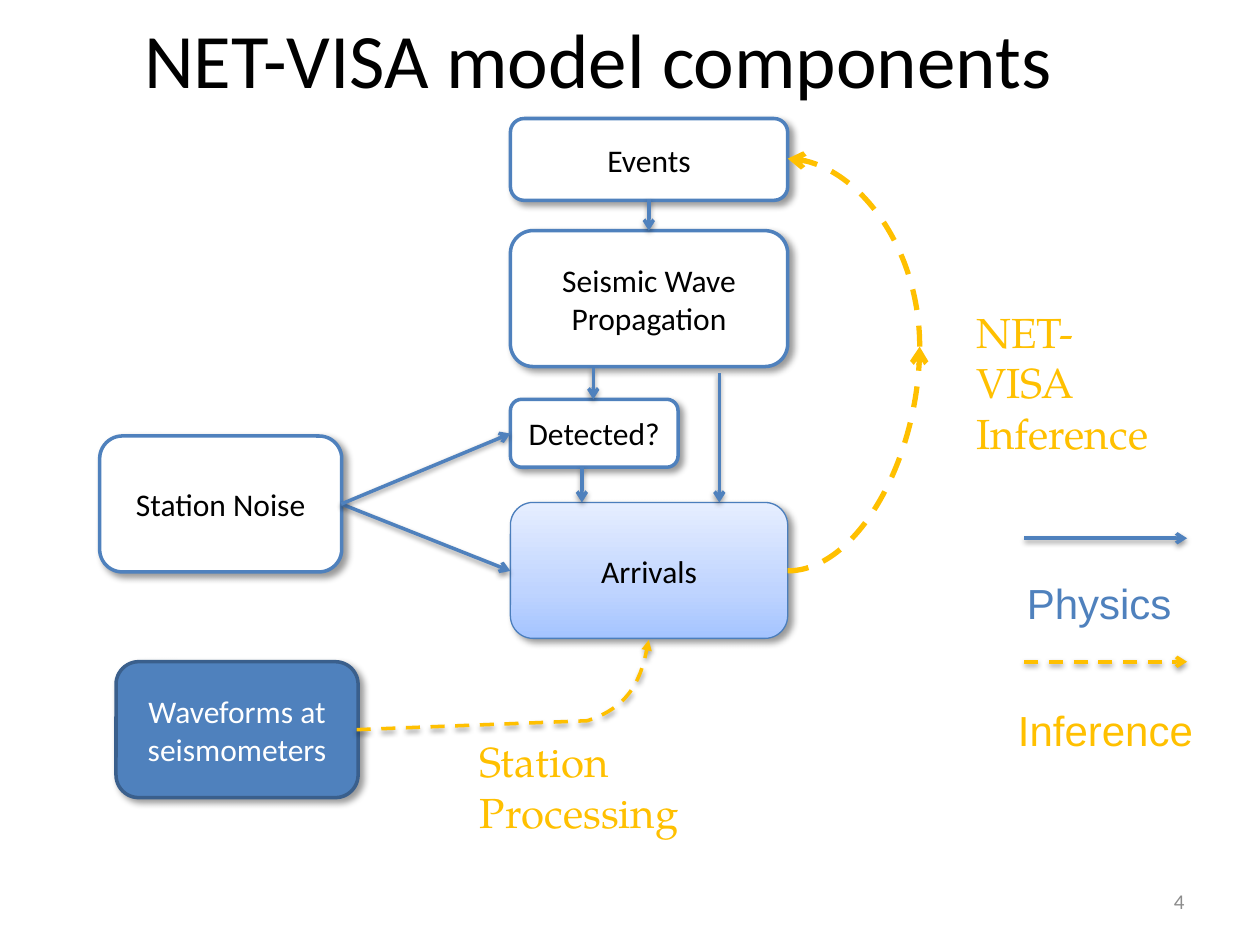
import copy
from dataclasses import dataclass
from typing import Any, Optional

import lxml.etree
import pptx
import pptx.dml.color
import pptx.enum.dml
import pptx.enum.shapes
import pptx.enum.text
import pptx.oxml.ns
import pptx.util

Cm = pptx.util.Cm
Pt = pptx.util.Pt
RGBColor = pptx.dml.color.RGBColor
Align = pptx.enum.text.PP_ALIGN
Anchor = pptx.enum.text.MSO_ANCHOR
Connector = pptx.enum.shapes.MSO_CONNECTOR
qn = pptx.oxml.ns.qn

BLACK = RGBColor(0x00, 0x00, 0x00)
WHITE = RGBColor(0xFF, 0xFF, 0xFF)
GRAY = RGBColor(0x8C, 0x8C, 0x8C)
BLUE = RGBColor(0x4F, 0x81, 0xBD)
DARK_BLUE = RGBColor(0x3A, 0x5F, 0x8C)
ARRIVALS_EDGE = RGBColor(0x4B, 0x7E, 0xBC)
GOLD = RGBColor(0xFF, 0xC0, 0x00)
ARRIVALS_STOPS = (
    (0, RGBColor(0xA4, 0xC4, 0xFF)),
    (0.35, RGBColor(0xBF, 0xD4, 0xFF)),
    (1, RGBColor(0xE6, 0xEE, 0xFF)),
)
Point = tuple[float, float]


@dataclass(frozen=True)
class Shadow:
    alpha: int
    blur: float
    distance: float
    angle: int


BOX_SHADOW = Shadow(40, 4, 3, 45)
LINE_SHADOW = Shadow(38, 3.1, 1.6, 90)


@dataclass(frozen=True)
class Component:
    text: str
    left: float
    top: float
    width: float = 5.59
    height: float = 2.74
    fill: Optional[RGBColor] = WHITE
    edge: RGBColor = BLUE
    edge_width: float = 2
    ink: RGBColor = BLACK


@dataclass(frozen=True)
class Arrow:
    start: Point
    end: Point
    color: RGBColor = BLUE
    dashed: bool = False


@dataclass(frozen=True)
class Label:
    lines: tuple[str, ...]
    left: float
    top: float
    width: float
    height: float
    font: str
    color: RGBColor
    size: int = 24
    align: Align = Align.LEFT
    anchor: Anchor = Anchor.TOP


COMPONENTS = (
    Component("Events", 10.29, 2.39, height=1.65),
    Component("Seismic Wave Propagation", 10.29, 4.65),
    Component("Waveforms at seismometers", 2.34, 13.34, 4.88,
              fill=BLUE, edge=DARK_BLUE, ink=WHITE),
    Component("Arrivals", 10.29, 10.13, fill=None, edge=ARRIVALS_EDGE, edge_width=0.75),
    Component("Station Noise", 2.01, 8.79, 4.88),
    Component("Detected?", 10.29, 8.05, 3.38, 1.37),
)
ARROWS = (
    Arrow((13.08, 4.01), (13.08, 4.65)),
    Arrow((14.5, 7.52), (14.5, 10.13)),
    Arrow((6.88, 10.16), (10.29, 11.51)),
    Arrow((11.73, 9.42), (11.73, 10.13)),
    Arrow((11.96, 7.42), (11.96, 8.05)),
    Arrow((6.88, 10.16), (10.29, 8.74)),
    Arrow((20.65, 10.85), (23.93, 10.85)),
    Arrow((20.65, 13.34), (23.93, 13.34), GOLD, True),
)
LABELS = (
    Label(("NET-VISA", "Inference"), 19.43, 6.05, 4.2, 2.31, "TeX Gyre Pagella", GOLD),
    Label(("Station Processing",), 9.42, 14.71, 7.15, 1.27, "TeX Gyre Pagella", GOLD),
    Label(("Physics",), 20.45, 11.51, 3.45, 1.27, "Arial", BLUE),
    Label(("Inference",), 20.27, 14.07, 4.09, 1.27, "Arial", GOLD),
    Label(("4",), 18.21, 17.65, 5.92, 1.02, "Calibri", GRAY, 12, Align.RIGHT, Anchor.MIDDLE),
)


def set_font(paragraph: Any, name: str, size: float, color: RGBColor) -> None:
    paragraph.font.name = name
    paragraph.font.size = Pt(size)
    paragraph.font.color.rgb = color


def add_shadow(effects: Any, shadow: Shadow) -> None:
    outer = lxml.etree.SubElement(
        effects, qn("a:outerShdw"), blurRad=str(Pt(shadow.blur)),
        dist=str(Pt(shadow.distance)), dir=str(shadow.angle * 60000), rotWithShape="0")
    tint = lxml.etree.SubElement(outer, qn("a:srgbClr"), val=str(BLACK))
    lxml.etree.SubElement(tint, qn("a:alpha"), val=str(shadow.alpha * 1000))


def style_arrow(arrow: Any, color: RGBColor, width: float, dashed: bool,
                tip: str, shadow: Optional[Shadow]) -> None:
    arrow.line.color.rgb = color
    arrow.line.width = Pt(width)
    if dashed:
        arrow.line.dash_style = pptx.enum.dml.MSO_LINE.DASH
    properties = arrow._element.spPr
    lxml.etree.SubElement(properties.find(qn("a:ln")), qn("a:tailEnd"), type=tip)
    effects = lxml.etree.SubElement(properties, qn("a:effectLst"))
    if shadow:
        add_shadow(effects, shadow)


def fill_arrivals(fill: Any, properties: Any) -> None:
    fill.gradient()
    fill.gradient_angle = 90
    stops = properties.find(qn("a:gradFill")).find(qn("a:gsLst"))
    stops.append(copy.deepcopy(stops[0]))
    for stop, (position, color) in zip(fill.gradient_stops, ARRIVALS_STOPS):
        stop.position = position
        stop.color.rgb = color


def draw_component(shapes: Any, component: Component) -> None:
    box = shapes.add_shape(
        pptx.enum.shapes.MSO_SHAPE.ROUNDED_RECTANGLE, Cm(component.left),
        Cm(component.top), Cm(component.width), Cm(component.height))
    if component.fill is None:
        fill_arrivals(box.fill, box._element.spPr)
    else:
        box.fill.solid()
        box.fill.fore_color.rgb = component.fill
    box.line.color.rgb = component.edge
    box.line.width = Pt(component.edge_width)
    box.shadow.inherit = False
    add_shadow(box._element.spPr.find(qn("a:effectLst")), BOX_SHADOW)
    box.text_frame.text = component.text
    box.text_frame.vertical_anchor = Anchor.MIDDLE
    paragraph = box.text_frame.paragraphs[0]
    paragraph.alignment = Align.CENTER
    set_font(paragraph, "Calibri", 18, component.ink)


def draw_arrow(shapes: Any, arrow: Arrow) -> None:
    line = shapes.add_connector(
        Connector.STRAIGHT, *(Cm(value) for value in arrow.start + arrow.end))
    style_arrow(line, arrow.color, 2, arrow.dashed, "arrow", LINE_SHADOW)


def draw_inference_arc(shapes: Any, start: Point, end: Point, upright: bool = False) -> None:
    (x1, y1), (x2, y2) = start, end
    if upright:
        center_x, center_y = (x1 + x2) / 2, (y1 + y2) / 2
        half_width, half_height = abs(y2 - y1) / 2, abs(x2 - x1) / 2
        x1, x2 = center_x - half_width, center_x + half_width
        y1, y2 = center_y + half_height, center_y - half_height
    arc = shapes.add_connector(Connector.CURVE, Cm(x1), Cm(y1), Cm(x2), Cm(y2))
    properties = arc._element.spPr
    properties.find(qn("a:prstGeom")).set("prst", "curvedConnector2")
    if upright:
        properties.find(qn("a:xfrm")).set("rot", str(270 * 60000))
    style_arrow(arc, GOLD, 3, True, "arrow", None)


def draw_station_processing(shapes: Any) -> None:
    bend = ((11.84, 14.53), (12.8, 14.22), (12.95, 13.56), (13.08, 12.9))
    steps = 24
    points = []
    for step in range(steps + 1):
        t = step / steps
        weights = ((1 - t) ** 3, 3 * t * (1 - t) ** 2, 3 * t ** 2 * (1 - t), t ** 3)
        points.append(tuple(
            Cm(sum(weight * point[axis] for weight, point in zip(weights, bend)))
            for axis in (0, 1)))
    builder = shapes.build_freeform(Cm(7.19), Cm(14.71))
    builder.add_line_segments(points, close=False)
    flow = builder.convert_to_shape()
    flow.fill.background()
    style_arrow(flow, GOLD, 2, True, "triangle", LINE_SHADOW)


def draw_label(shapes: Any, label: Label) -> None:
    frame = shapes.add_textbox(
        Cm(label.left), Cm(label.top), Cm(label.width), Cm(label.height)).text_frame
    frame.word_wrap = True
    frame.vertical_anchor = label.anchor
    frame.text = "\n".join(label.lines)
    for paragraph in frame.paragraphs:
        paragraph.alignment = label.align
        set_font(paragraph, label.font, label.size, label.color)


def main() -> None:
    presentation = pptx.Presentation()
    presentation.slide_width, presentation.slide_height = Cm(25.4), Cm(19.05)
    shapes = presentation.slides.add_slide(presentation.slide_layouts[5]).shapes
    title = shapes.title
    title.left, title.top, title.width, title.height = Cm(0), Cm(-0.2), Cm(24.13), Cm(2.74)
    title.text_frame.text = "NET-VISA model components"
    title.text_frame.vertical_anchor = Anchor.MIDDLE
    heading = title.text_frame.paragraphs[0]
    heading.alignment = Align.CENTER
    set_font(heading, "Calibri", 44, BLACK)
    for component in COMPONENTS:
        draw_component(shapes, component)
    for arrow in ARROWS:
        draw_arrow(shapes, arrow)
    draw_station_processing(shapes)
    draw_inference_arc(shapes, (15.88, 11.51), (18.54, 6.99))
    draw_inference_arc(shapes, (18.54, 6.99), (15.88, 3.2), upright=True)
    for label in LABELS:
        draw_label(shapes, label)
    presentation.save("out.pptx")


if __name__ == "__main__":
    main()
